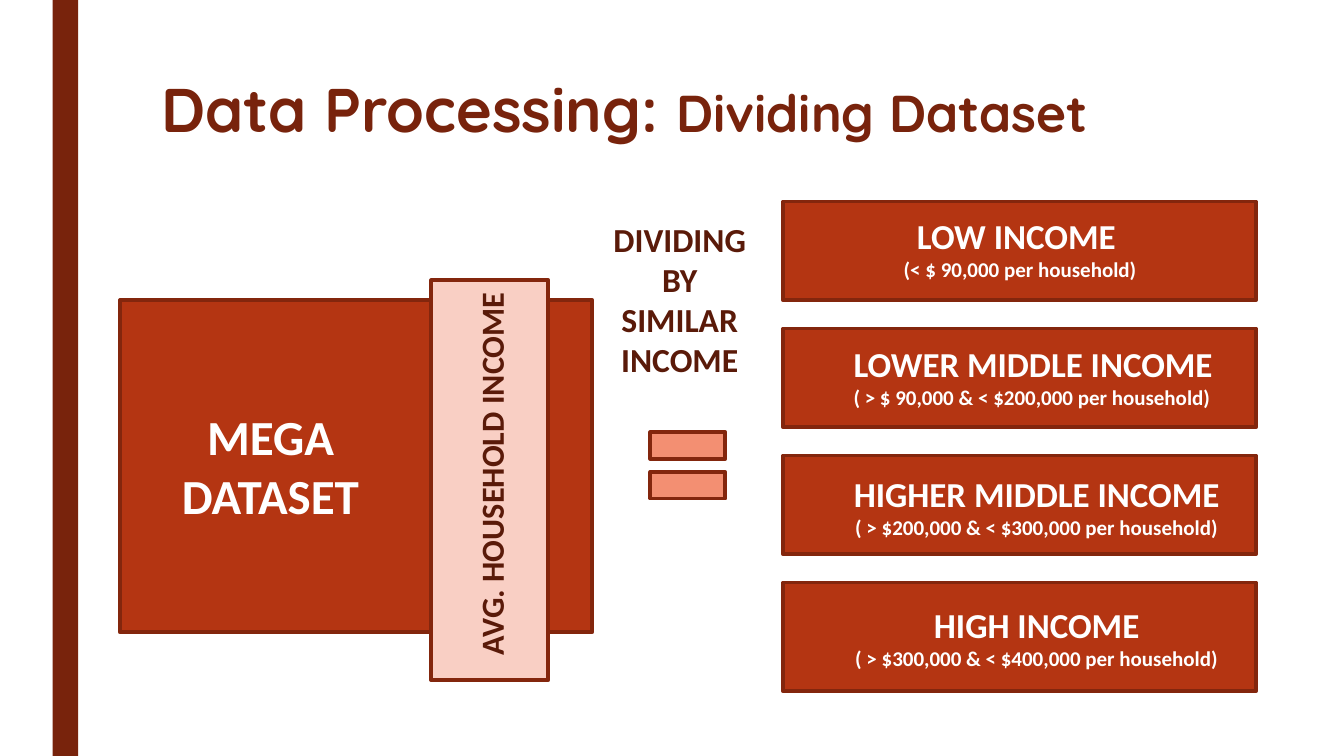
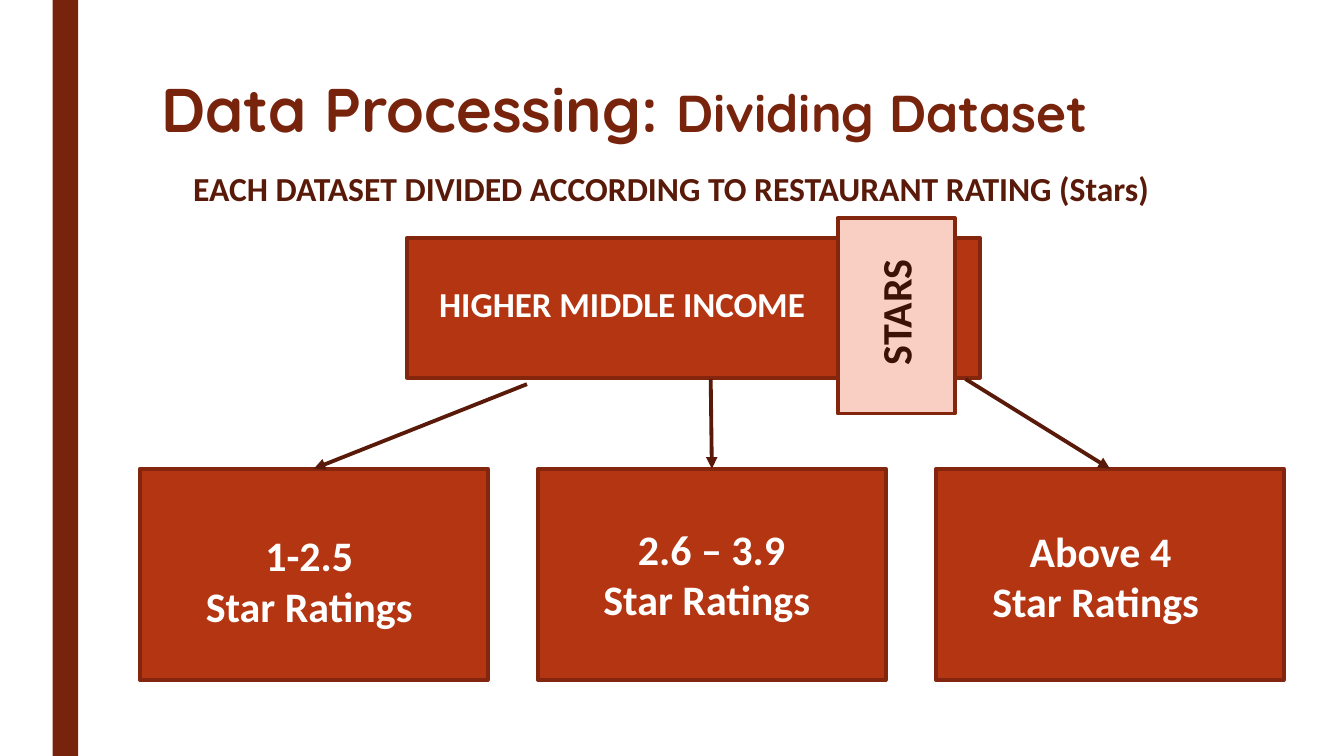
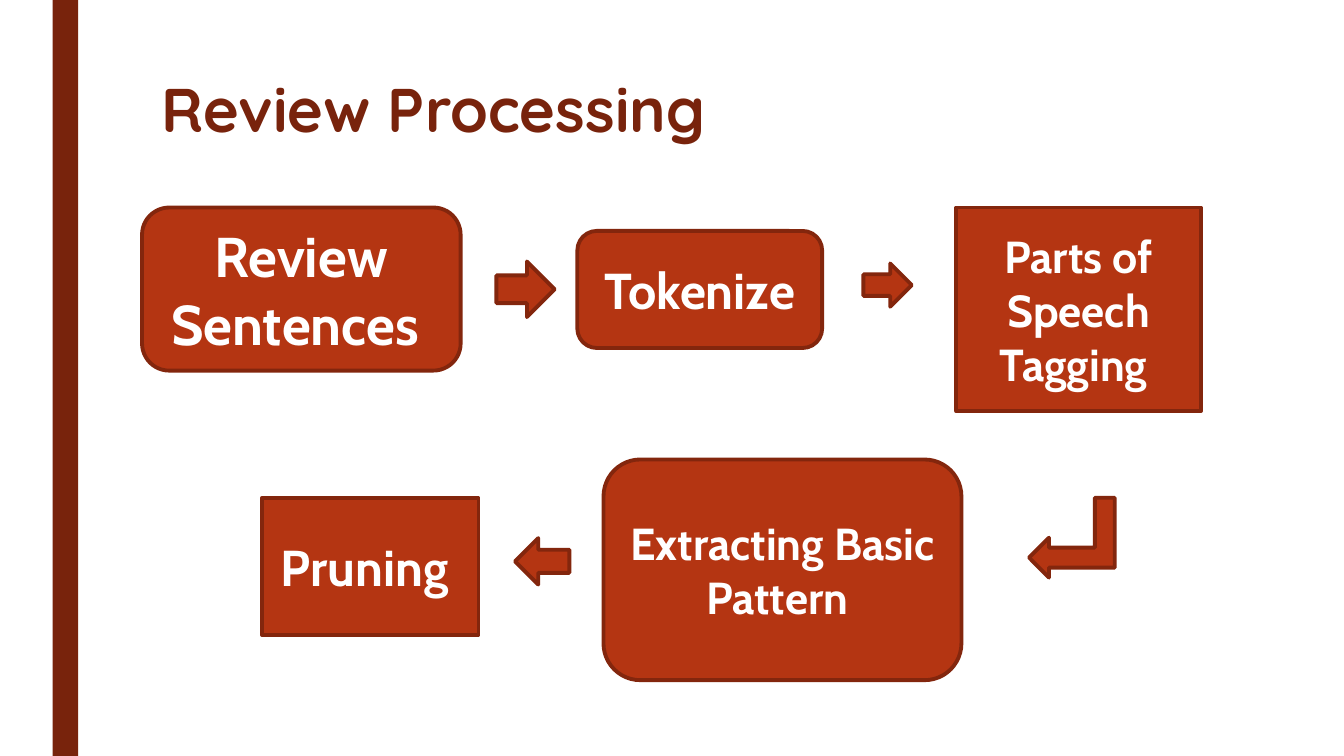
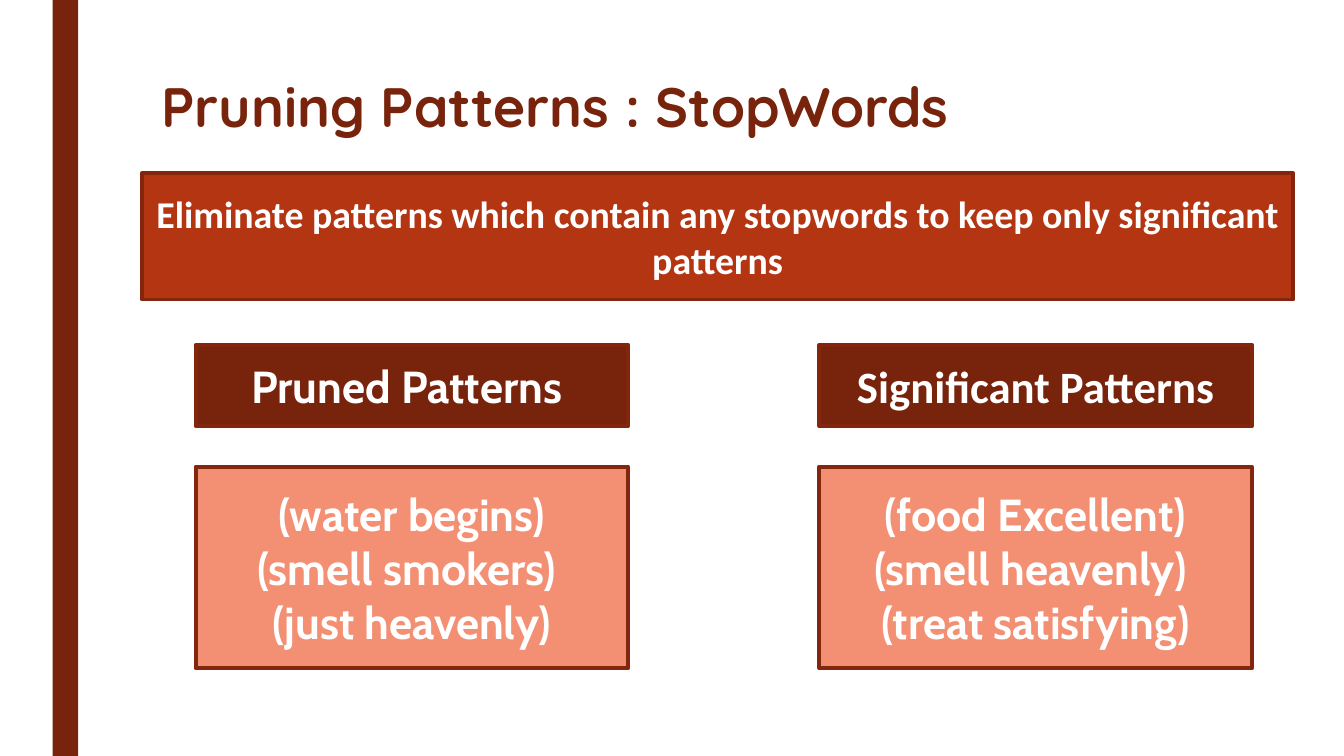
"""Build four slides on dividing a dataset and processing its reviews."""
from dataclasses import dataclass
from typing import Sequence

from lxml import etree
from pptx import Presentation
from pptx.dml.color import RGBColor
from pptx.enum.shapes import MSO_CONNECTOR, MSO_SHAPE
from pptx.enum.text import MSO_ANCHOR, PP_ALIGN
from pptx.oxml.ns import qn
from pptx.presentation import Presentation as Deck
from pptx.shapes.autoshape import Shape
from pptx.slide import Slide
from pptx.text.text import TextFrame
from pptx.util import Cm, Pt

RECT = MSO_SHAPE.RECTANGLE
ROUNDED = MSO_SHAPE.ROUNDED_RECTANGLE
RIGHT = MSO_SHAPE.RIGHT_ARROW
LEFT = MSO_SHAPE.LEFT_ARROW
BENT = MSO_SHAPE.BENT_UP_ARROW
EQUALS = MSO_SHAPE.MATH_EQUAL
STRAIGHT = MSO_CONNECTOR.STRAIGHT
ALIGN_LEFT = PP_ALIGN.LEFT
ALIGN_CENTER = PP_ALIGN.CENTER
TOP = MSO_ANCHOR.TOP
MIDDLE = MSO_ANCHOR.MIDDLE
BLANK = 6


@dataclass(frozen=True)
class Theme:
    """Colours, fonts and type sizes shared by all slides."""
    dark: RGBColor = RGBColor(0x78, 0x23, 0x0C)
    fill: RGBColor = RGBColor(0xB4, 0x35, 0x12)
    edge: RGBColor = RGBColor(0x83, 0x26, 0x0D)
    salmon: RGBColor = RGBColor(0xF3, 0x8F, 0x72)
    pale: RGBColor = RGBColor(0xF9, 0xCF, 0xC4)
    ink: RGBColor = RGBColor(0x5A, 0x1A, 0x09)
    deep_ink: RGBColor = RGBColor(0x3C, 0x11, 0x06)
    white: RGBColor = RGBColor(0xFF, 0xFF, 0xFF)
    title_font: str = "Quicksand"
    body_font: str = "Calibri"
    step_font: str = "Cabin"
    title: float = 44
    short_title: float = 39.6
    subtitle: float = 37
    big_step: float = 40
    step: float = 36
    small_step: float = 32
    dataset: float = 35
    rating: float = 30
    banner: float = 27
    group: float = 25
    lead: float = 24
    column: float = 23
    note: float = 15
    line: float = 2.75


T = Theme()


@dataclass(frozen=True)
class Box:
    """A place on the slide in centimetres."""
    x: float
    y: float
    w: float
    h: float


@dataclass(frozen=True)
class Line:
    """One paragraph and its look."""
    text: str
    size: float
    font: str = T.body_font
    color: RGBColor = T.white
    align: PP_ALIGN = ALIGN_CENTER


@dataclass(frozen=True)
class Group:
    """An income group with its range and text place."""
    name: str
    limits: str
    text: Box
    h: float = 2.49
    align: PP_ALIGN = ALIGN_CENTER


@dataclass(frozen=True)
class Rating:
    """A star range, its text place and the start of its arrow."""
    stars: str
    text: Box
    start: tuple[float, float]


@dataclass(frozen=True)
class Step:
    """A step of the review process."""
    text: str
    size: float
    box: Box
    kind: MSO_SHAPE = RECT


@dataclass(frozen=True)
class Patterns:
    """A headed list of patterns."""
    head: str
    font: str
    items: tuple[str, ...]


def write(tf: TextFrame, lines: Sequence[Line]) -> None:
    """Fill a text frame with bold paragraphs."""
    tf.word_wrap = True
    for i, line in enumerate(lines):
        p = tf.add_paragraph() if i else tf.paragraphs[0]
        p.text = line.text
        p.alignment = line.align
        p.font.name, p.font.size, p.font.bold = line.font, Pt(line.size), True
        p.font.color.rgb = line.color


def add_text(slide: Slide, box: Box, *lines: Line, rotation: float = 0) -> TextFrame:
    """Add a text box."""
    sp = slide.shapes.add_textbox(Cm(box.x), Cm(box.y), Cm(box.w), Cm(box.h))
    sp.rotation = rotation
    tf = sp.text_frame
    tf.vertical_anchor = TOP
    write(tf, lines)
    return tf


def add_block(slide: Slide, box: Box, *lines: Line, fill: RGBColor = T.fill,
              kind: MSO_SHAPE = RECT, outlined: bool = True) -> Shape:
    """Add a filled shape with optional text."""
    sp = slide.shapes.add_shape(kind, Cm(box.x), Cm(box.y), Cm(box.w), Cm(box.h))
    sp.shadow.inherit = False
    sp.fill.solid()
    sp.fill.fore_color.rgb = fill
    if outlined:
        sp.line.color.rgb = T.edge
        sp.line.width = Pt(T.line)
    else:
        sp.line.fill.background()
    if lines:
        sp.text_frame.vertical_anchor = MIDDLE
        write(sp.text_frame, lines)
    return sp


def add_arrow(slide: Slide, start: tuple[float, float], target: Shape) -> None:
    """Draw an arrow to the top middle of a shape."""
    x, y = Cm(start[0]), Cm(start[1])
    c = slide.shapes.add_connector(STRAIGHT, x, y, x, y)
    c.end_connect(target, 0)
    c.line.color.rgb = T.ink
    c.line.width = Pt(T.line)
    sp_pr = c._element.spPr
    etree.SubElement(sp_pr.find(qn("a:ln")), qn("a:tailEnd"), type="triangle")
    etree.SubElement(sp_pr, qn("a:effectLst"))


def new_slide(prs: Deck, title: str, size: float = T.title, subtitle: str = "") -> Slide:
    """Add a slide with the side band and a title."""
    slide = prs.slides.add_slide(prs.slide_layouts[BLANK])
    add_block(slide, Box(1.33, 0, 0.64, 19.05), fill=T.dark, outlined=False)
    tf = add_text(slide, Box(3.81, 1.9, 26.67, 2.2),
                  Line(title, size, T.title_font, T.dark, ALIGN_LEFT))
    p = tf.paragraphs[0]
    p.line_spacing = 0.89
    if subtitle:
        r = p.add_run()
        r.text = subtitle
        r.font.size = Pt(T.subtitle)
    return slide


def income_slide(prs: Deck) -> None:
    """Show the dataset divided by income."""
    slide = new_slide(prs, "Data Processing: ", subtitle="Dividing Dataset")
    add_block(slide, Box(3.02, 7.57, 11.91, 8.36))
    add_text(slide, Box(3.25, 10.13, 7.14, 3.25), Line("MEGA DATASET", T.dataset))
    add_block(slide, Box(10.87, 7.06, 2.95, 10.08), fill=T.pale)
    add_text(slide, Box(7.34, 11.1, 10.08, 1.24),
             Line("AVG. HOUSEHOLD INCOME", T.column, color=T.ink, align=ALIGN_LEFT),
             rotation=270)
    add_text(slide, Box(15.13, 5.38, 4, 4.37),
             Line("DIVIDING BY SIMILAR INCOME", T.lead, color=T.ink))
    equals = add_block(slide, Box(16.05, 10.31, 2.57, 2.84), fill=T.salmon, kind=EQUALS)
    equals.adjustments[0], equals.adjustments[1] = 0.235, 0.118

    groups = (
        Group("LOW INCOME ", "(< $ 90,000 per household)", Box(22.33, 5.28, 6.76, 1.96)),
        Group("LOWER MIDDLE INCOME", "( > $ 90,000 & < $200,000 per household)",
              Box(21.26, 8.51, 9.9, 1.96), align=ALIGN_LEFT),
        Group("HIGHER MIDDLE INCOME", "( > $200,000 & < $300,000 per household)",
              Box(21.11, 11.79, 10.03, 1.96)),
        Group("HIGH INCOME", "( > $300,000 & < $400,000 per household)",
              Box(21.11, 15.09, 10.03, 1.96), h=2.74),
    )
    for i, group in enumerate(groups):
        add_block(slide, Box(19.74, 5.08 + 3.2 * i, 11.91, group.h))
        add_text(slide, group.text, Line(group.name, T.group, align=group.align),
                 Line(group.limits, T.note, align=group.align))


def rating_slide(prs: Deck) -> None:
    """Show one income group divided by star rating."""
    slide = new_slide(prs, "Data Processing: ", subtitle="Dividing Dataset")
    add_text(slide, Box(4.62, 4.11, 25.02, 1.27),
             Line("EACH DATASET DIVIDED ACCORDING TO RESTAURANT RATING (Stars)",
                  T.lead, color=T.ink, align=ALIGN_LEFT))
    add_block(slide, Box(10.26, 5.99, 14.43, 3.53))
    add_text(slide, Box(10.82, 6.99, 10.03, 1.32),
             Line("HIGHER MIDDLE INCOME", T.group, align=ALIGN_LEFT))
    add_block(slide, Box(21.11, 5.49, 2.95, 4.93), fill=T.pale)
    add_text(slide, Box(20.57, 6.68, 3.99, 1.55),
             Line("STARS", T.rating, color=T.deep_ink, align=ALIGN_LEFT), rotation=270)

    ratings = (
        Rating("1-2.5 ", Box(4.93, 13.23, 5.97, 2.82), (13.28, 9.68)),
        Rating("2.6 – 3.9", Box(14.91, 13.06, 6.05, 2.82), (17.91, 9.55)),
        Rating("Above 4", Box(24.71, 13.11, 6.05, 2.82), (24.33, 9.55)),
    )
    for i, rating in enumerate(ratings):
        block = add_block(slide, Box(3.53 + 10.03 * i, 11.81, 8.76, 5.33))
        add_text(slide, rating.text, Line(rating.stars, T.rating),
                 Line("Star Ratings ", T.rating))
        add_arrow(slide, rating.start, block)


def review_slide(prs: Deck) -> None:
    """Show the steps of review processing."""
    slide = new_slide(prs, "Review Processing")
    steps = (
        Step("Review Sentences ", T.big_step, Box(3.58, 5.23, 8.03, 4.11), ROUNDED),
        Step("Tokenize", T.step, Box(14.55, 5.82, 6.17, 2.95), ROUNDED),
        Step("Parts of Speech Tagging ", T.small_step, Box(24.1, 5.23, 6.17, 5.13)),
        Step("Extracting Basic Pattern ", T.small_step,
             Box(15.21, 11.58, 9.02, 5.56), ROUNDED),
        Step("Pruning ", T.step, Box(6.6, 12.55, 5.46, 3.45)),
    )
    for step in steps:
        add_block(slide, step.box, Line(step.text, step.size, T.step_font), kind=step.kind)

    add_block(slide, Box(12.51, 6.59, 1.47, 1.4), kind=RIGHT)
    add_block(slide, Box(21.76, 6.64, 1.22, 1.09), kind=RIGHT)
    add_block(slide, Box(12.98, 13.56, 1.37, 1.17), kind=LEFT)
    turn = add_block(slide, Box(26.01, 12.47, 2.01, 2.16), kind=BENT)
    turn.rotation = 270
    turn._element.spPr.find(qn("a:xfrm")).set("flipH", "1")


def pruning_slide(prs: Deck) -> None:
    """Compare pruned and significant patterns."""
    slide = new_slide(prs, "Pruning Patterns : StopWords", T.short_title)
    add_block(slide, Box(3.58, 4.37, 29.01, 3.18),
              Line("Eliminate patterns which contain any stopwords to keep only "
                   "significant patterns", T.banner))
    columns = (
        Patterns("Pruned Patterns ", T.step_font,
                 ("(water begins)", "(smell smokers) ", "(just heavenly)")),
        Patterns("Significant Patterns", T.body_font,
                 ("(food Excellent)", "(smell heavenly) ", "(treat satisfying)")),
    )
    for i, column in enumerate(columns):
        x = 4.93 + 15.72 * i
        add_block(slide, Box(x, 8.69, 10.9, 2.05),
                  Line(column.head, T.small_step, column.font), fill=T.dark)
        add_block(slide, Box(x, 11.76, 10.9, 5.08),
                  *(Line(item, T.small_step, T.step_font) for item in column.items),
                  fill=T.salmon)


def main() -> None:
    """Build and save the presentation."""
    prs = Presentation()
    prs.slide_width, prs.slide_height = Cm(33.87), Cm(19.05)
    income_slide(prs)
    rating_slide(prs)
    review_slide(prs)
    pruning_slide(prs)
    prs.save("out.pptx")


if __name__ == "__main__":
    main()
